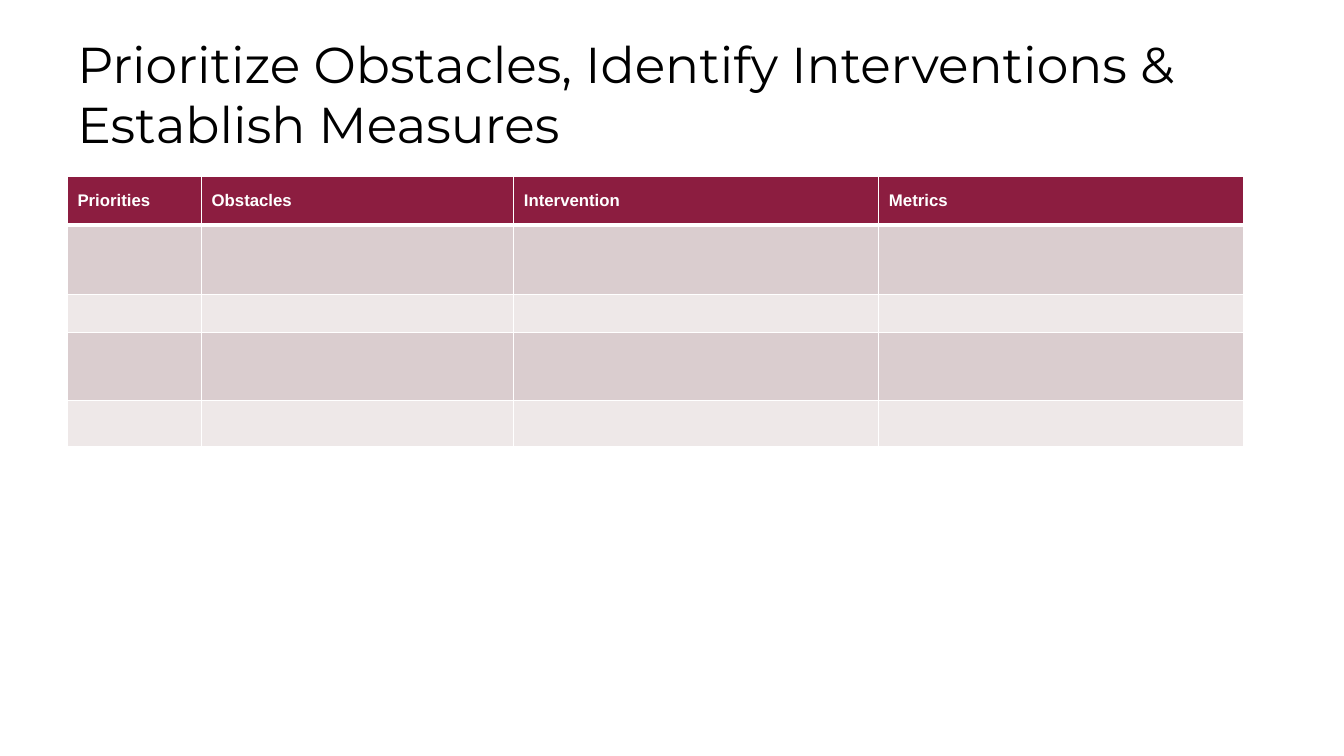
from dataclasses import dataclass

from pptx import Presentation
from pptx.dml.color import RGBColor
from pptx.enum import text
from pptx.oxml import parse_xml
from pptx.oxml.ns import nsdecls
from pptx.util import Cm, Pt


@dataclass(frozen=True)
class Theme:
    ink: str = "000000"
    white: str = "FFFFFF"
    header: str = "8C1D40"
    bands: tuple = ("DACDCF", "EEE8E8")
    title_font: str = "Montserrat"
    body_font: str = "Arial"
    title_size: int = 36
    header_size: int = 12
    rule: int = 1
    header_rule: int = 3


THEME = Theme()
HEADERS = ["Priorities", "Obstacles", "Intervention", "Metrics"]
COL_WIDTHS = [3.38, 7.87, 9.2, 9.2]
ROW_HEIGHTS = [1.22, 1.75, 0.94, 1.7, 1.17]


def write(tf, content, *, size, font, color, bold=False):
    tf.word_wrap = True
    p = tf.paragraphs[0]
    p.alignment = text.PP_ALIGN.LEFT
    r = p.add_run()
    r.text = content
    r.font.size = Pt(size)
    r.font.name = font
    r.font.bold = bold
    r.font.color.rgb = RGBColor.from_string(color)


def add_title(s, left, top, width, height):
    sp = s.shapes.add_textbox(Cm(left), Cm(top), Cm(width), Cm(height))
    tf = sp.text_frame
    tf.vertical_anchor = text.MSO_ANCHOR.MIDDLE
    write(tf, "Prioritize Obstacles, Identify Interventions & Establish Measures",
          size=THEME.title_size, font=THEME.title_font, color=THEME.ink)


def set_borders(cell, top, bottom):
    tc_pr = cell._tc.get_or_add_tcPr()
    widths = {"L": THEME.rule, "R": THEME.rule, "T": top, "B": bottom}
    for side, width in widths.items():
        tc_pr.append(parse_xml(
            f'<a:ln{side} {nsdecls("a")} w="{Pt(width)}"><a:solidFill>'
            f'<a:srgbClr val="{THEME.white}"/></a:solidFill></a:ln{side}>'))


def style_cell(cell, row):
    set_borders(cell,
                top=THEME.header_rule if row == 1 else THEME.rule,
                bottom=THEME.header_rule if row == 0 else THEME.rule)
    color = THEME.bands[(row - 1) % 2] if row else THEME.header
    cell.fill.solid()
    cell.fill.fore_color.rgb = RGBColor.from_string(color)
    cell.vertical_anchor = text.MSO_ANCHOR.MIDDLE
    cell.margin_top = cell.margin_bottom = Cm(0.1)


def add_priorities_table(s, left, top):
    table = s.shapes.add_table(
        len(ROW_HEIGHTS), len(COL_WIDTHS), Cm(left), Cm(top),
        Cm(sum(COL_WIDTHS)), Cm(sum(ROW_HEIGHTS))).table
    for col, width in zip(table.columns, COL_WIDTHS):
        col.width = Cm(width)
    for i, (row, height) in enumerate(zip(table.rows, ROW_HEIGHTS)):
        row.height = Cm(height)
        for cell in row.cells:
            style_cell(cell, i)
    for cell, label in zip(table.rows[0].cells, HEADERS):
        write(cell.text_frame, label, size=THEME.header_size,
              font=THEME.body_font, color=THEME.white, bold=True)


def main():
    prs = Presentation()
    prs.slide_width, prs.slide_height = Cm(33.87), Cm(19.05)
    s = prs.slides.add_slide(prs.slide_layouts[6])
    add_title(s, 1.7, 0.76, 30.48, 3.18)
    add_priorities_table(s, 1.7, 4.45)
    prs.save("out.pptx")


if __name__ == "__main__":
    main()
